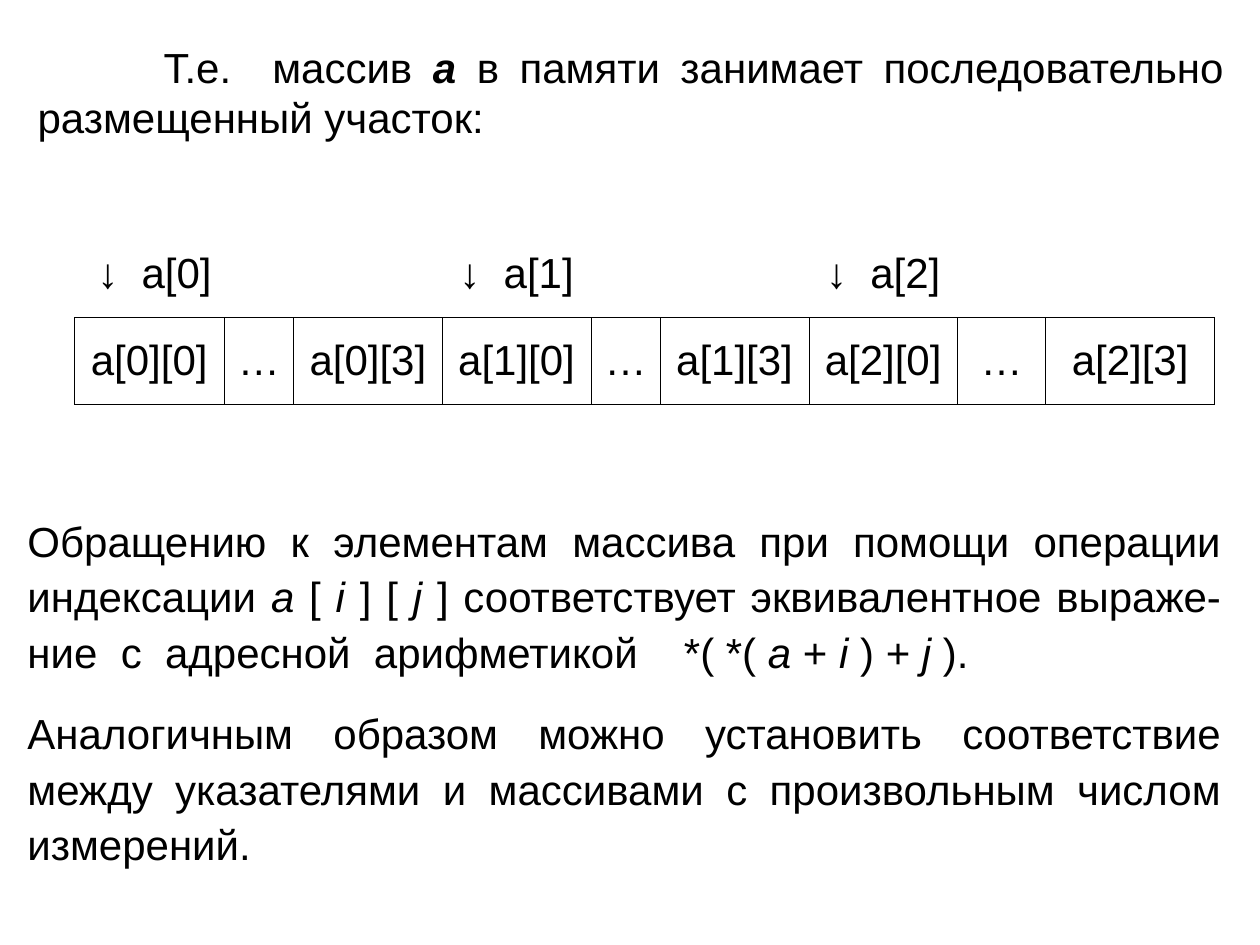
from lxml import etree
from pptx import Presentation
from pptx.dml.color import RGBColor
from pptx.enum.text import MSO_ANCHOR, MSO_AUTO_SIZE, PP_ALIGN
from pptx.oxml.ns import qn
from pptx.util import Inches, Pt

FONT = "Arial"
BLACK = "000000"
BORDER_WIDTH = Pt(0.45)
JUSTIFY, CENTER, RIGHT = PP_ALIGN.JUSTIFY, PP_ALIGN.CENTER, PP_ALIGN.RIGHT
MIDDLE = MSO_ANCHOR.MIDDLE
GROW = MSO_AUTO_SIZE.SHAPE_TO_FIT_TEXT
BLANK_LAYOUT = 6

# A piece of text is (text, style); style "i" is italic, "bi" bold italic.
INTRO = [("\tТ.е.  массив ", ""), ("а", "bi"),
         (" в памяти занимает последовательно размещенный участок:", "")]
INDEXING = [
    ("Обращению к элементам массива при помощи операции индексации ", ""),
    ("а ", "i"), ("[ ", ""), ("i ", "i"), ("] [ ", ""), ("j ", "i"),
    ("] соответствует эквивалентное выраже-ние  с  адресной  арифметикой\t*( *( ", ""),
    ("а ", "i"), ("+ ", ""), ("i ", "i"), (") + ", ""), ("j ", "i"), (").", ""),
]
GENERAL_CASE = [("Аналогичным образом можно установить соответствие между указателями "
                 "и массивами с произвольным числом измерений.", "")]
EXPRESSION_TAB = 5.21

ARRAY_ROWS, LAST_COLUMN = 3, 3
CELLS_PER_ROW = 3
COLUMN_WIDTHS = [1.19, 0.55, 1.18, 1.18, 0.55, 1.18, 1.18, 0.7, 1.34]
ROW_HEIGHT = 0.69


def color(hex_string):
    return RGBColor.from_string(hex_string)


def add_tab_stop(paragraph, position):
    tabs = etree.SubElement(paragraph._p.get_or_add_pPr(), qn("a:tabLst"))
    etree.SubElement(tabs, qn("a:tab"), pos=str(Inches(position)), algn="l")


def write_text(paragraph, pieces, align=JUSTIFY, line_spacing=None, space_after=None, tab=None):
    paragraph.alignment = align
    if line_spacing:
        paragraph.line_spacing = line_spacing
    if space_after:
        paragraph.space_after = Pt(space_after)
    if tab:
        add_tab_stop(paragraph, tab)
    for text, style in pieces:
        run = paragraph.add_run()
        run.text = text
        run.font.name = FONT
        run.font.size = Pt(24)
        run.font.color.rgb = color(BLACK)
        run.font.bold = "b" in style
        run.font.italic = "i" in style


def add_text_frame(slide, left, top, width, height):
    box = slide.shapes.add_textbox(Inches(left), Inches(top), Inches(width), Inches(height))
    frame = box.text_frame
    frame.word_wrap = True
    frame.auto_size = GROW
    frame.vertical_anchor = MIDDLE
    return frame


def set_borders(cell, sides):
    """Draw thin black lines on the given sides, listed in the order L, R, T, B."""
    properties = cell._tc.get_or_add_tcPr()
    for position, side in enumerate(sides):
        line = etree.Element(qn(f"a:ln{side}"), w=str(BORDER_WIDTH))
        fill = etree.SubElement(line, qn("a:solidFill"))
        etree.SubElement(fill, qn("a:srgbClr"), val=BLACK)
        properties.insert(position, line)


def fill_cell(cell, text, align, sides):
    cell.fill.background()
    cell.vertical_anchor = MIDDLE
    set_borders(cell, sides)
    if text:
        write_text(cell.text_frame.paragraphs[0], [(text, "")], align=align)


def add_memory_table(slide):
    table = slide.shapes.add_table(
        2, len(COLUMN_WIDTHS), Inches(0.59), Inches(1.83),
        Inches(sum(COLUMN_WIDTHS)), Inches(2 * ROW_HEIGHT)).table
    table.first_row = False
    table.horz_banding = False
    for column, width in zip(table.columns, COLUMN_WIDTHS):
        column.width = Inches(width)
    for row in table.rows:
        row.height = Inches(ROW_HEIGHT)

    for i in range(ARRAY_ROWS):
        pointers = [f"↓  a[{i}]", "", ""]
        elements = [f"a[{i}][0]", "…", f"a[{i}][{LAST_COLUMN}]"]
        pointer_align = RIGHT if i == 0 else CENTER
        for offset, (pointer, element) in enumerate(zip(pointers, elements)):
            column = i * CELLS_PER_ROW + offset
            fill_cell(table.cell(0, column), pointer, pointer_align, "B")
            fill_cell(table.cell(1, column), element, CENTER, "LRTB")


def main():
    presentation = Presentation()
    presentation.slide_width = Inches(10)
    presentation.slide_height = Inches(7.5)
    slide = presentation.slides.add_slide(presentation.slide_layouts[BLANK_LAYOUT])

    explanation = add_text_frame(slide, 0.12, 4, 9.67, 2.95)
    write_text(explanation.paragraphs[0], INDEXING,
               line_spacing=1.1, space_after=15, tab=EXPRESSION_TAB)
    write_text(explanation.add_paragraph(), GENERAL_CASE, line_spacing=1.1, space_after=15)

    add_memory_table(slide)

    intro = add_text_frame(slide, 0.2, 0.28, 9.61, 0.9)
    write_text(intro.paragraphs[0], INTRO, tab=1)

    presentation.save("out.pptx")


if __name__ == "__main__":
    main()
